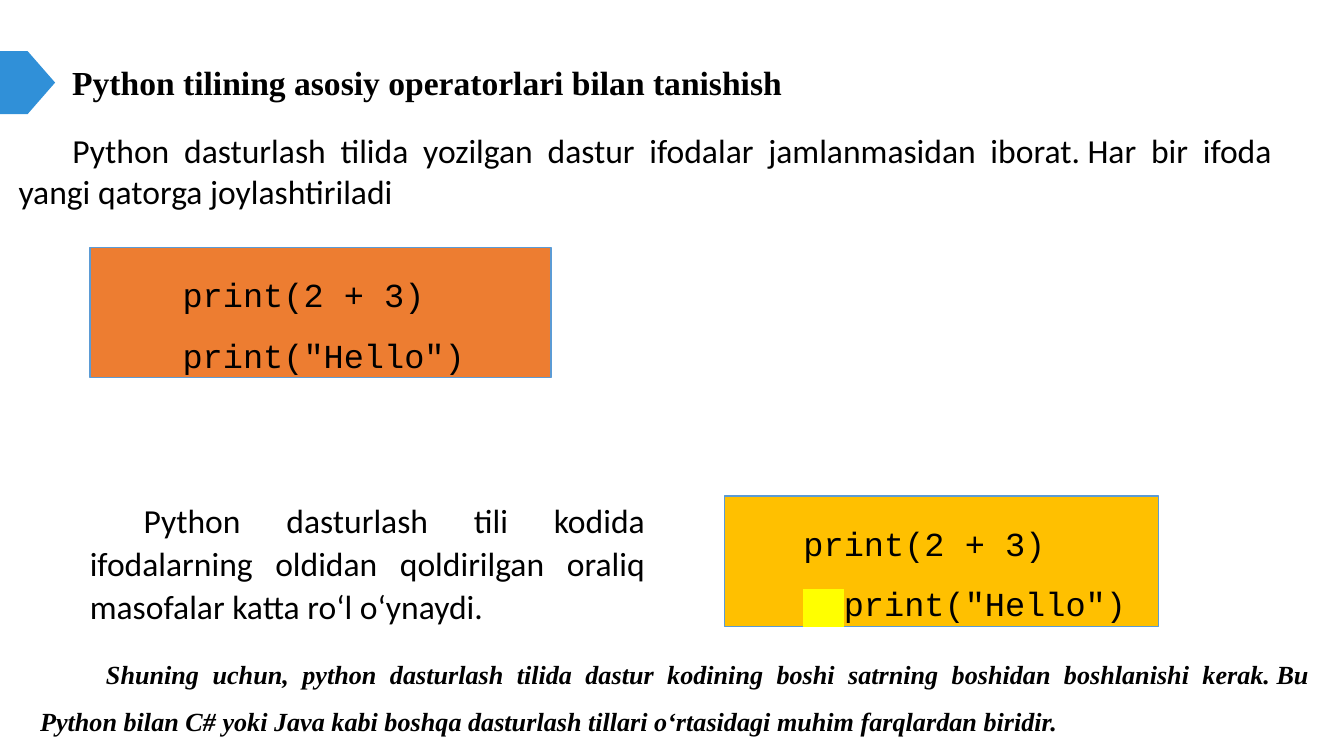
"""Build a slide that introduces Python statements and indentation."""
from dataclasses import dataclass

import lxml.etree
import pptx
import pptx.dml.color
import pptx.enum.shapes
import pptx.enum.text
import pptx.oxml.ns
import pptx.util

Inches = pptx.util.Inches
Pt = pptx.util.Pt
qn = pptx.oxml.ns.qn
ALIGN = pptx.enum.text.PP_ALIGN
ANCHOR = pptx.enum.text.MSO_ANCHOR
FIT = pptx.enum.text.MSO_AUTO_SIZE.SHAPE_TO_FIT_TEXT
SHAPE = pptx.enum.shapes.MSO_SHAPE

SLIDE_WIDTH = 10
SLIDE_HEIGHT = SLIDE_WIDTH * 9 / 16
NBSP = chr(160)
COLORS = {
    "text": "000000",
    "marker": "3090D8",
    "border": "5B9BD5",
    "orange": "ED7D31",
    "gold": "FFC000",
    "highlight": "FFFF00",
}
Box = tuple[float, float, float, float]


@dataclass(frozen=True)
class Style:
    font: str
    size: int = 18
    bold: bool = False
    italic: bool = False


@dataclass(frozen=True)
class Passage:
    box: Box
    text: str
    style: Style
    indent: float
    spacing: float


@dataclass(frozen=True)
class CodeBox:
    box: Box
    fill: str
    indent: float
    lead: str = ""


HEADING = Style("Times New Roman", bold=True)
BODY = Style("Calibri")
CODE = Style("Courier New")
CONCLUSION = Style("Times New Roman", 14, True, True)

PASSAGES = [
    Passage((0.04, 0.92, 9.53, 0.71),
            "Python dasturlash tilida yozilgan dastur ifodalar jamlanmasidan "
            f"iborat.{NBSP}Har bir ifoda yangi qatorga joylashtiriladi",
            BODY, 0.4, 1.0),
    Passage((0.57, 3.65, 4.33, 1.06),
            "Python dasturlash tili kodida ifodalarning oldidan qoldirilgan "
            "oraliq masofalar katta ro‘l o‘ynaydi.",
            BODY, 0.4, 1.07),
    Passage((0.2, 4.73, 9.65, 0.77),
            "Shuning uchun, python dasturlash tilida dastur kodining boshi "
            f"satrning boshidan boshlanishi kerak.{NBSP}Bu Python bilan C# yoki Java "
            "kabi boshqa dasturlash tillari o‘rtasidagi muhim farqlardan biridir.",
            CONCLUSION, 0.49, 1.5),
]
CODE_BOXES = [
    CodeBox((0.67, 1.84, 3.43, 0.97), "orange", 0.59),
    CodeBox((5.39, 3.69, 3.23, 0.97), "gold", 0.49, "  "),
]


def rgb(name: str) -> pptx.dml.color.RGBColor:
    return pptx.dml.color.RGBColor.from_string(COLORS[name])


def place(box: Box) -> list[int]:
    return [Inches(v) for v in box]


def add_run(p, text: str, style: Style, highlight: str = "") -> None:
    r = p.add_run()
    r.text = text
    r.font.name = style.font
    r.font.size = Pt(style.size)
    r.font.bold = style.bold
    r.font.italic = style.italic
    r.font.color.rgb = rgb("text")
    if highlight:
        mark = lxml.etree.Element(qn("a:highlight"))
        lxml.etree.SubElement(mark, qn("a:srgbClr"), val=COLORS[highlight])
        r.font._element.find(qn("a:latin")).addprevious(mark)


def format_frame(tf, wrap: bool) -> None:
    tf.word_wrap = wrap
    tf.auto_size = FIT
    tf.vertical_anchor = ANCHOR.TOP


def format_paragraph(p, align: ALIGN, indent: float, spacing: float) -> None:
    p.alignment = align
    p.line_spacing = spacing
    pPr = p._p.get_or_add_pPr()
    pPr.set("marL", "0")
    pPr.set("indent", str(Inches(indent)))


def add_filled_shape(slide, kind: SHAPE, box: Box, fill: str):
    sp = slide.shapes.add_shape(kind, *place(box))
    sp.shadow.inherit = False
    sp.fill.solid()
    sp.fill.fore_color.rgb = rgb(fill)
    return sp


def set_title(slide, box: Box, text: str) -> None:
    sp = slide.shapes.title
    sp.left, sp.top, sp.width, sp.height = place(box)
    format_frame(sp.text_frame, False)
    p = sp.text_frame.paragraphs[0]
    p.alignment = ALIGN.CENTER
    add_run(p, text, HEADING)


def add_passage(slide, passage: Passage) -> None:
    tf = slide.shapes.add_textbox(*place(passage.box)).text_frame
    format_frame(tf, True)
    p = tf.paragraphs[0]
    format_paragraph(p, ALIGN.JUSTIFY, passage.indent, passage.spacing)
    add_run(p, passage.text, passage.style)


def add_code_box(slide, code: CodeBox) -> None:
    sp = add_filled_shape(slide, SHAPE.RECTANGLE, code.box, code.fill)
    sp.line.color.rgb = rgb("border")
    sp.line.width = Pt(0.75)
    tf = sp.text_frame
    format_frame(tf, True)
    first, second = tf.paragraphs[0], tf.add_paragraph()
    for p in (first, second):
        format_paragraph(p, ALIGN.LEFT, code.indent, 1.5)
    add_run(first, "print(2 + 3)", CODE)
    if code.lead:
        add_run(second, code.lead, CODE, "highlight")
    add_run(second, 'print("Hello")', CODE)


def main() -> None:
    prs = pptx.Presentation()
    prs.slide_width = Inches(SLIDE_WIDTH)
    prs.slide_height = Inches(SLIDE_HEIGHT)
    slide = prs.slides.add_slide(prs.slide_layouts.get_by_name("Title Only"))
    set_title(slide, (0.41, 0.41, 5.54, 0.4),
              "Python tilining asosiy operatorlari bilan tanishish")
    marker = add_filled_shape(slide, SHAPE.PENTAGON, (0, 0.38, 0.41, 0.47), "marker")
    marker.line.fill.background()
    for passage in PASSAGES:
        add_passage(slide, passage)
    for code in CODE_BOXES:
        add_code_box(slide, code)
    prs.save("out.pptx")


if __name__ == "__main__":
    main()
